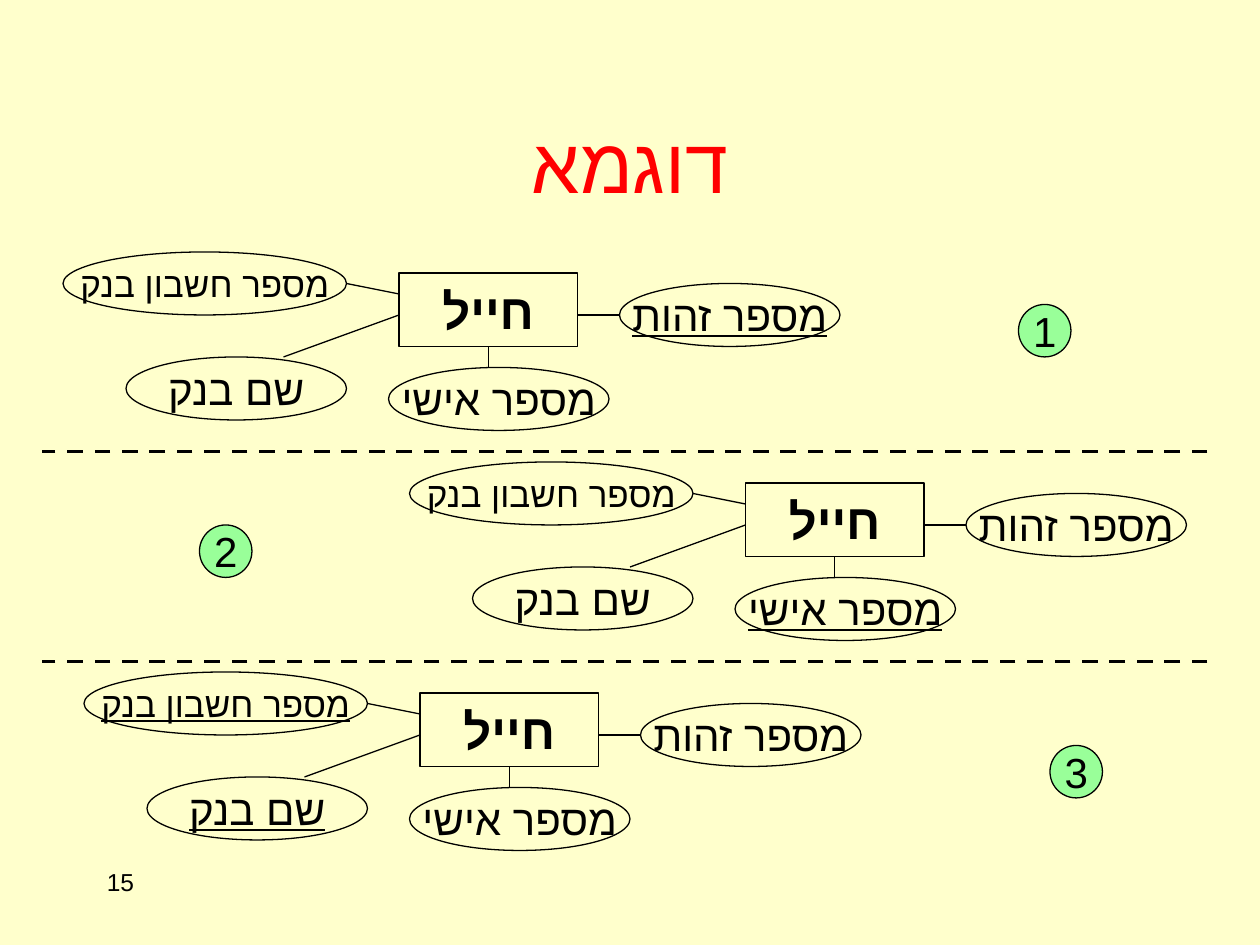
from dataclasses import dataclass

from lxml.etree import SubElement
from pptx import Presentation
from pptx.dml.color import RGBColor
from pptx.enum.dml import MSO_LINE
from pptx.enum.shapes import MSO_CONNECTOR, MSO_SHAPE
from pptx.enum.text import MSO_ANCHOR, PP_ALIGN
from pptx.oxml.ns import qn
from pptx.util import Inches, Pt


@dataclass(frozen=True)
class Theme:
    paper: RGBColor = RGBColor(0xFF, 0xFF, 0xCC)
    ink: RGBColor = RGBColor(0, 0, 0)
    heading: RGBColor = RGBColor(0xFF, 0, 0)
    badge: RGBColor = RGBColor(0x99, 0xFF, 0x99)
    latin: str = "Times New Roman"
    hebrew: str = "Arial"
    title_size: int = 44
    entity_size: int = 28
    attribute_size: int = 24
    long_attribute_size: int = 20
    number_size: int = 14
    thin: float = 0.75
    thick: float = 2.25


THEME = Theme()
COLUMNS, ROWS = 120, 90

TITLE = "דוגמא"
PAGE_NUMBER = "15"
ENTITY = "חייל"
ENTITY_SIZE = (17, 7)
ID_NUMBER, PERSONAL_NUMBER = "מספר זהות", "מספר אישי"
BANK_NAME, ACCOUNT = "שם בנק", "מספר חשבון בנק"

# Each attribute: column and row from the entity's corner, width and type size.
ATTRIBUTES = {
    ID_NUMBER: (21, 1, 21, THEME.attribute_size),
    PERSONAL_NUMBER: (-1, 9, 21, THEME.attribute_size),
    BANK_NAME: (-26, 8, 21, THEME.attribute_size),
    ACCOUNT: (-32, -2, 27, THEME.long_attribute_size),
}
ATTRIBUTE_HEIGHT = 6
LINKS = [((21, 4), (17, 4)), ((0, 4), (-11, 8)), ((0, 2), (-5, 1))]
PERSONAL_LINK_END = (8.5, 9)

EXAMPLES = [
    {"label": "1", "entity": (38, 26), "badge": (97, 29), "keys": [ID_NUMBER]},
    {"label": "2", "entity": (71, 46), "badge": (19, 50), "keys": [PERSONAL_NUMBER]},
    {"label": "3", "entity": (40, 66), "badge": (100, 71), "keys": [BANK_NAME, ACCOUNT]},
]
BADGE_SIZE = 5
DIVIDER_ROWS = [43, 63]
DIVIDER_COLUMNS = (115, 4)

deck = Presentation()
deck.slide_width, deck.slide_height = Inches(10), Inches(7.5)
slide = deck.slides.add_slide(deck.slide_layouts[5])
slide.background.fill.solid()
slide.background.fill.fore_color.rgb = THEME.paper


def across(column):
    return round(deck.slide_width * column / COLUMNS)


def down(row):
    return round(deck.slide_height * row / ROWS)


def area(column, row, width, height):
    return across(column), down(row), across(width), down(height)


def write(frame, text, size, color=THEME.ink, latin=THEME.latin,
          align=PP_ALIGN.CENTER, bold=False, underline=False):
    frame.text = text
    paragraph = frame.paragraphs[0]
    paragraph.alignment = align
    font = paragraph.font
    font.name, font.size = latin, Pt(size)
    font.bold, font.underline = bold, underline
    font.color.rgb = color
    properties = paragraph._p.get_or_add_pPr()
    properties.set("rtl", "1")
    SubElement(properties.find(qn("a:defRPr")), qn("a:cs"), typeface=THEME.hebrew)


def add_node(kind, place, text, size, fill=THEME.paper, **style):
    node = slide.shapes.add_shape(kind, *area(*place))
    node.shadow.inherit = False
    node.fill.solid()
    node.fill.fore_color.rgb = fill
    node.line.color.rgb = THEME.ink
    node.line.width = Pt(THEME.thin)
    node.text_frame.word_wrap = False
    node.text_frame.vertical_anchor = MSO_ANCHOR.MIDDLE
    write(node.text_frame, text, size, **style)
    return node


def add_line(start, end, width=THEME.thin):
    line = slide.shapes.add_connector(
        MSO_CONNECTOR.STRAIGHT,
        across(start[0]), down(start[1]), across(end[0]), down(end[1]))
    line.line.color.rgb = THEME.ink
    line.line.width = Pt(width)
    SubElement(line._element.spPr, qn("a:effectLst"))
    return line


def add_example(example):
    left, top = example["entity"]

    def shifted(point):
        return left + point[0], top + point[1]

    entity = add_node(MSO_SHAPE.RECTANGLE, (left, top, *ENTITY_SIZE),
                      ENTITY, THEME.entity_size, bold=True)
    for start, end in LINKS:
        add_line(shifted(start), shifted(end))
    personal_link = add_line(shifted((ENTITY_SIZE[0] / 2, ENTITY_SIZE[1])),
                             shifted(PERSONAL_LINK_END))
    personal_link.begin_connect(entity, 2)
    for attribute, (column, row, width, size) in ATTRIBUTES.items():
        add_node(MSO_SHAPE.OVAL, (*shifted((column, row)), width, ATTRIBUTE_HEIGHT),
                 attribute, size, underline=attribute in example["keys"])
    add_node(MSO_SHAPE.OVAL, (*example["badge"], BADGE_SIZE, BADGE_SIZE),
             example["label"], THEME.attribute_size, fill=THEME.badge)


title = slide.shapes.title
title.left, title.top, title.width, title.height = area(9, 8, 102, 15)
title.text_frame.vertical_anchor = MSO_ANCHOR.MIDDLE
write(title.text_frame, TITLE, THEME.title_size, THEME.heading, THEME.hebrew)

page_number = slide.shapes.add_textbox(*area(9, 82, 25, 6))
page_number.text_frame.word_wrap = True
write(page_number.text_frame, PAGE_NUMBER, THEME.number_size, align=PP_ALIGN.LEFT)

for example in EXAMPLES:
    add_example(example)

for row in DIVIDER_ROWS:
    divider = add_line((DIVIDER_COLUMNS[0], row), (DIVIDER_COLUMNS[1], row), THEME.thick)
    divider.line.dash_style = MSO_LINE.DASH

deck.save("out.pptx")
